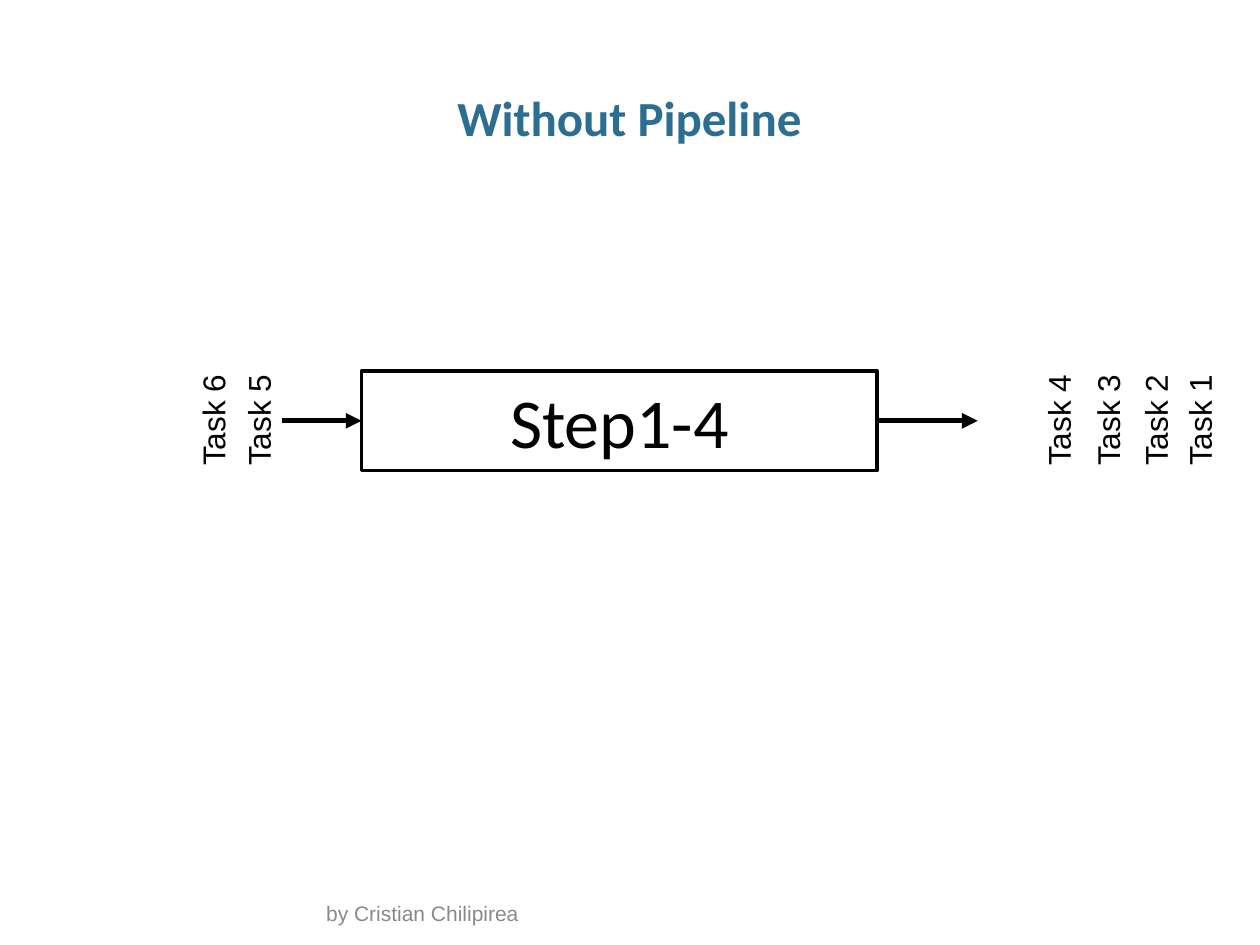
from lxml import etree
from pptx import Presentation
from pptx.dml.color import RGBColor
from pptx.enum.shapes import MSO_CONNECTOR, MSO_SHAPE
from pptx.enum.text import MSO_ANCHOR, PP_ALIGN
from pptx.oxml.ns import qn
from pptx.util import Inches, Pt

LEFT, CENTER = PP_ALIGN.LEFT, PP_ALIGN.CENTER
TOP, MIDDLE, BOTTOM = MSO_ANCHOR.TOP, MSO_ANCHOR.MIDDLE, MSO_ANCHOR.BOTTOM
BLACK, BLUE, GRAY = "000000", "2C6D92", "898989"

TITLE = "Without Pipeline"
STEP = "Step1-4"
FOOTER = "by Cristian Chilipirea"
# Task name and the horizontal centre of its upright label
TASKS = [("Task 1", 9.52), ("Task 2", 9.17), ("Task 3", 8.79),
         ("Task 4", 8.4), ("Task 5", 2.05), ("Task 6", 1.69)]
TASK_WIDTH, TASK_HEIGHT = 0.93, 0.4
STEP_LEFT, STEP_WIDTH, STEP_HEIGHT = 2.87, 4.09, 0.79
STEP_RIGHT = STEP_LEFT + STEP_WIDTH
FLOW_Y = 3.34
ARROWS = [(STEP_LEFT - 0.63, STEP_LEFT), (STEP_RIGHT, STEP_RIGHT + 0.8)]


def color(value):
    """Turn a hex string into a colour."""
    return RGBColor.from_string(value)


def write(shape, text, size, font, ink, align=LEFT, anchor=TOP, bold=False):
    """Put one styled run into a shape and return its paragraph."""
    frame = shape.text_frame
    frame.vertical_anchor = anchor
    para = frame.paragraphs[0]
    para.alignment = align
    span = para.add_run()
    span.text = text
    span.font.size, span.font.name, span.font.bold = Pt(size), font, bold
    span.font.color.rgb = color(ink)
    return para


def add_box(page, left, top, width, height, wrap=True):
    """Add an empty text box."""
    box = page.shapes.add_textbox(*map(Inches, (left, top, width, height)))
    box.text_frame.word_wrap = wrap
    return box


def add_title(page):
    """Add the centred heading."""
    box = add_box(page, 0.34, 0.68, 9.31, 0.5)
    box.text_frame.margin_left = box.text_frame.margin_right = 0
    para = write(box, TITLE, 28, "Calibri", BLUE, CENTER, bold=True)
    para.line_spacing = 0.95


def add_step(page):
    """Add the outlined step, centred on the flow line."""
    step = page.shapes.add_shape(
        MSO_SHAPE.RECTANGLE, Inches(STEP_LEFT), Inches(FLOW_Y - STEP_HEIGHT / 2),
        Inches(STEP_WIDTH), Inches(STEP_HEIGHT))
    step.shadow.inherit = False
    step.fill.background()
    step.line.color.rgb, step.line.width = color(BLACK), Pt(2)
    write(step, STEP, 40, "Calibri", BLACK, CENTER, MIDDLE)


def add_arrow(page, start, end):
    """Add an arrow along the flow line."""
    arrow = page.shapes.add_connector(
        MSO_CONNECTOR.STRAIGHT, Inches(start), Inches(FLOW_Y),
        Inches(end), Inches(FLOW_Y))
    arrow.line.color.rgb, arrow.line.width = color(BLACK), Pt(3)
    etree.SubElement(arrow.line._get_or_add_ln(), qn("a:tailEnd"), type="triangle")
    etree.SubElement(arrow._element.spPr, qn("a:effectLst"))


def add_task(page, name, center):
    """Add a task label that reads upwards."""
    box = add_box(page, center - TASK_WIDTH / 2, FLOW_Y - 0.21,
                  TASK_WIDTH, TASK_HEIGHT, wrap=False)
    box.rotation = 270
    write(box, name, 18, "Arial", BLACK)


deck = Presentation()
deck.slide_width, deck.slide_height = Inches(10), Inches(7.5)
page = deck.slides.add_slide(deck.slide_layouts[6])
write(add_box(page, 2.49, 7.16, 5.02, 0.24), FOOTER, 12, "Arial", GRAY, anchor=BOTTOM)
add_title(page)
add_step(page)
for start, end in ARROWS:
    add_arrow(page, start, end)
for name, center in TASKS:
    add_task(page, name, center)
deck.save("out.pptx")
